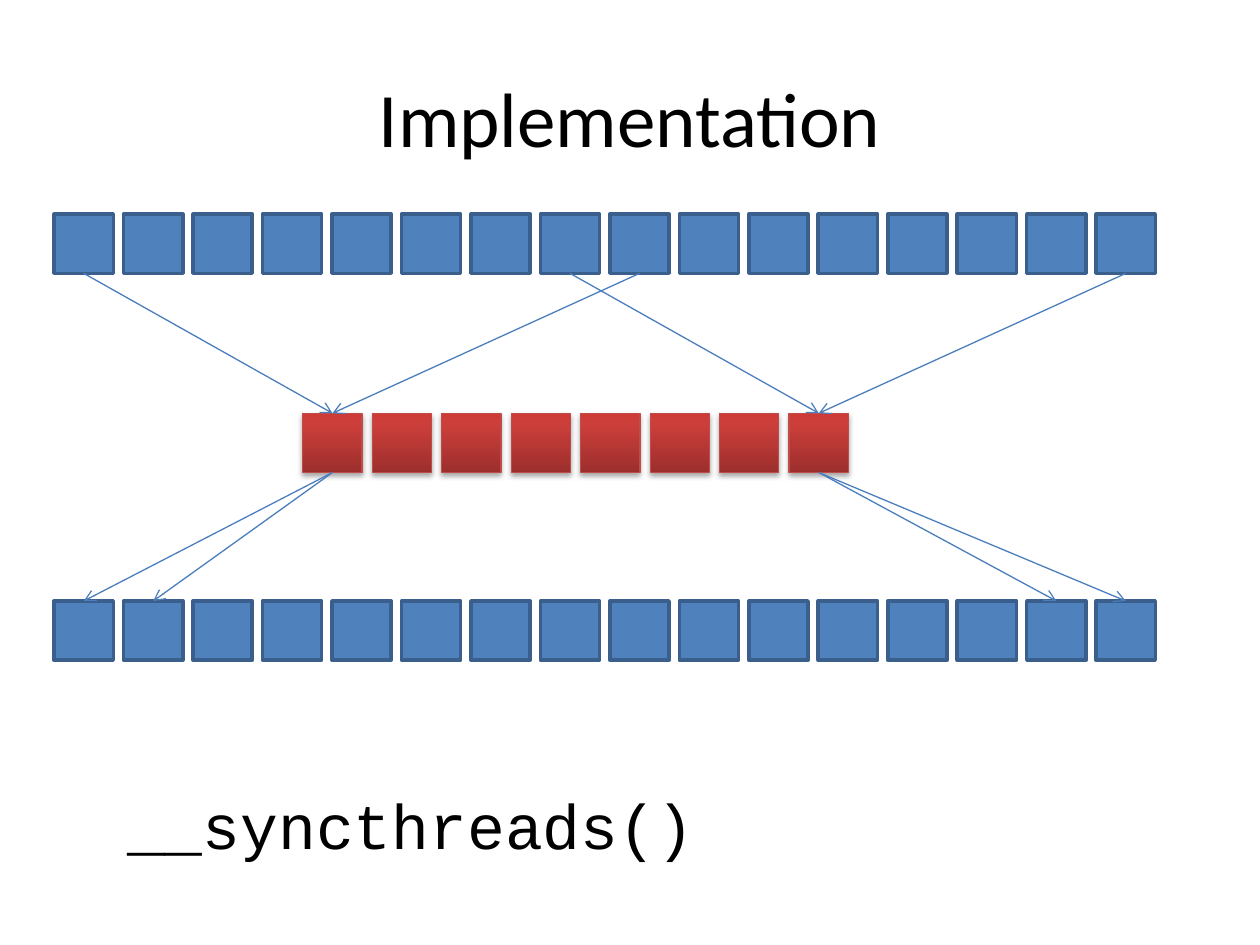
from copy import deepcopy
from dataclasses import dataclass

from lxml import etree
from pptx import Presentation, util as u
from pptx.dml.color import RGBColor
from pptx.enum import shapes, text
from pptx.oxml import ns

COLORS = {
    "text": "000000",
    "thread": "4F81BD",
    "thread_edge": "3A5F8C",
    "shared_edge": "BF4C48",
    "arrow": "4B7EBC",
    "shadow": "000000",
}
SHARED_GRADIENT = [(0, "9C2F2D"), (0.8, "CB3E3A"), (1, "CE3B37")]

# Grid of cells, in inches
CELL = 0.47
GRID_LEFT = 0.43
PITCH = (8.7 - GRID_LEFT) / 15
TOP_SITE, BOTTOM_SITE = 0, 2


@dataclass
class CellRow:
    top: float
    count: int
    first_column: float = 0
    shared: bool = False


@dataclass
class Flow:
    source_row: str
    source: int
    target_row: str
    target: int


ROWS = {
    "input": CellRow(top=1.7, count=16),
    "shared": CellRow(top=3.28, count=8, first_column=3.58, shared=True),
    "output": CellRow(top=4.77, count=16),
}
FLOWS = [
    Flow("input", 0, "shared", 0),
    Flow("input", 8, "shared", 0),
    Flow("shared", 0, "output", 0),
    Flow("input", 7, "shared", 7),
    Flow("input", 15, "shared", 7),
    Flow("shared", 7, "output", 14),
    Flow("shared", 7, "output", 15),
    Flow("shared", 0, "output", 1),
]


def rgb(name: str) -> RGBColor:
    return RGBColor.from_string(COLORS[name])


def add_child(parent, tag: str, **attributes: str):
    return etree.SubElement(parent, ns.qn(tag), attributes)


def style_text(paragraph, font_name: str, size: int) -> None:
    paragraph.font.name = font_name
    paragraph.font.size = u.Pt(size)
    paragraph.font.color.rgb = rgb("text")


def style_shared(cell) -> None:
    """Vertical red gradient with a soft shadow below."""
    cell.fill.gradient()
    cell.fill.gradient_angle = 90
    stop_list = cell._element.spPr.find(".//" + ns.qn("a:gsLst"))
    stop_list.append(deepcopy(stop_list[0]))
    for stop, (position, color) in zip(cell.fill.gradient_stops, SHARED_GRADIENT):
        stop.position = position
        stop.color.rgb = RGBColor.from_string(color)
    cell.line.color.rgb = rgb("shared_edge")
    cell.line.width = u.Pt(0.75)
    effects = cell._element.spPr.find(ns.qn("a:effectLst"))
    shadow = add_child(effects, "a:outerShdw", blurRad=str(u.Pt(3.1)),
                       dist=str(u.Pt(1.8)), dir="5400000", rotWithShape="0")
    tint = add_child(shadow, "a:srgbClr", val=COLORS["shadow"])
    add_child(tint, "a:alpha", val="35000")


def style_thread(cell) -> None:
    cell.fill.solid()
    cell.fill.fore_color.rgb = rgb("thread")
    cell.line.color.rgb = rgb("thread_edge")
    cell.line.width = u.Pt(2)


def draw_row(slide, row: CellRow) -> list:
    cells = []
    for column in range(row.count):
        left = GRID_LEFT + (row.first_column + column) * PITCH
        cell = slide.shapes.add_shape(
            shapes.MSO_SHAPE.RECTANGLE, u.Inches(left), u.Inches(row.top),
            u.Inches(CELL), u.Inches(CELL))
        cell.shadow.inherit = False
        if row.shared:
            style_shared(cell)
        else:
            style_thread(cell)
        cells.append(cell)
    return cells


def draw_flow(slide, flow: Flow, cells: dict) -> None:
    arrow = slide.shapes.add_connector(shapes.MSO_CONNECTOR.STRAIGHT, 0, 0, 0, 0)
    arrow.begin_connect(cells[flow.source_row][flow.source], BOTTOM_SITE)
    arrow.end_connect(cells[flow.target_row][flow.target], TOP_SITE)
    arrow.line.color.rgb = rgb("arrow")
    arrow.line.width = u.Pt(0.75)
    add_child(arrow.line._get_or_add_ln(), "a:tailEnd", type="arrow")
    add_child(arrow._element.spPr, "a:effectLst")


def main() -> None:
    deck = Presentation()
    deck.slide_width, deck.slide_height = u.Inches(10), u.Inches(7.5)
    slide = deck.slides.add_slide(deck.slide_layouts[5])

    # Title
    title = slide.shapes.title
    title.left, title.top = u.Inches(0.5), u.Inches(0.3)
    title.width, title.height = u.Inches(9), u.Inches(1.25)
    title.text_frame.text = "Implementation"
    title.text_frame.vertical_anchor = text.MSO_ANCHOR.MIDDLE
    heading = title.text_frame.paragraphs[0]
    heading.alignment = text.PP_ALIGN.CENTER
    style_text(heading, "Calibri", 44)

    # Rows of cells and the flows between them
    cells = {name: draw_row(slide, row) for name, row in ROWS.items()}
    for flow in FLOWS:
        draw_flow(slide, flow, cells)

    # Barrier call
    barrier = slide.shapes.add_textbox(
        u.Inches(0.91), u.Inches(6.19), u.Inches(7.32), u.Inches(0.71)).text_frame
    barrier.word_wrap = True
    barrier.auto_size = text.MSO_AUTO_SIZE.SHAPE_TO_FIT_TEXT
    barrier.text = "__syncthreads()"
    style_text(barrier.paragraphs[0], "Courier New", 36)

    deck.save("out.pptx")


if __name__ == "__main__":
    main()
